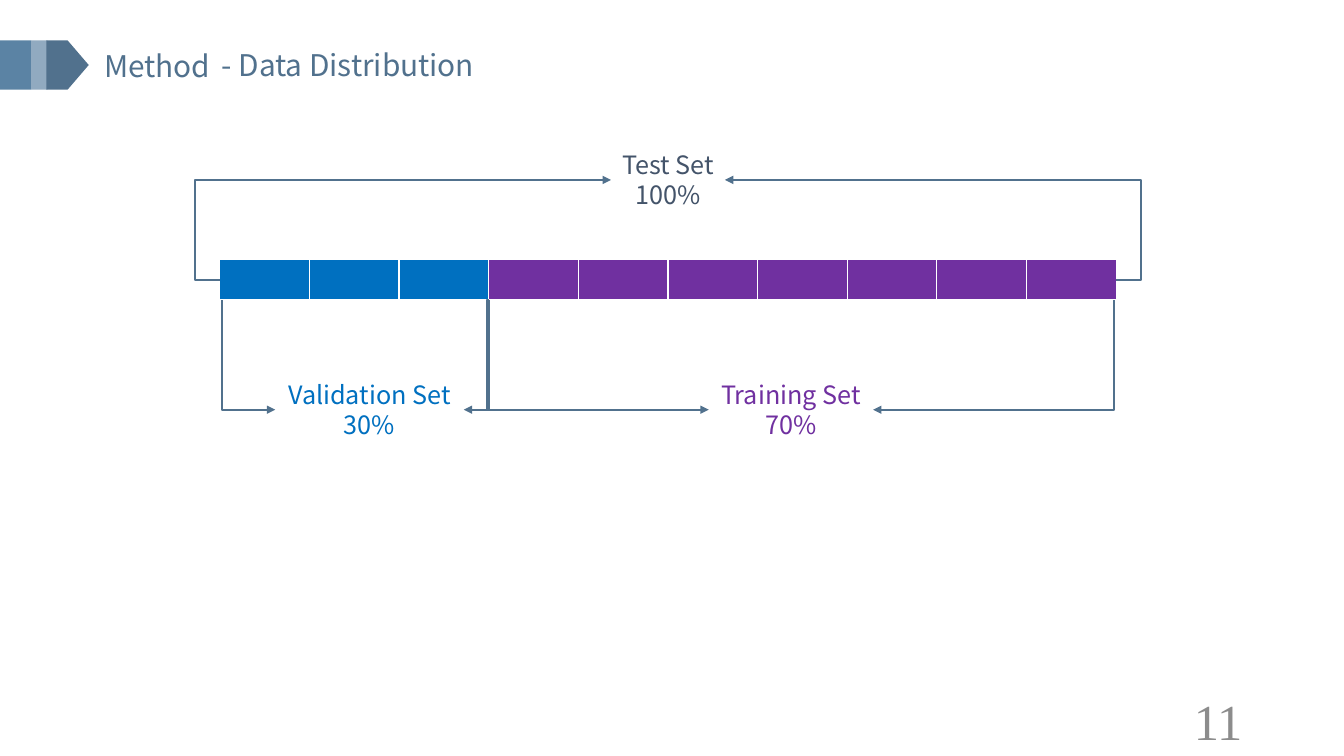
from lxml import etree
from pptx import Presentation
from pptx.dml.color import RGBColor
from pptx.enum.shapes import MSO_CONNECTOR, MSO_SHAPE
from pptx.enum.text import MSO_ANCHOR, PP_ALIGN
from pptx.oxml.ns import qn
from pptx.util import Inches, Pt

ELBOW = MSO_CONNECTOR.ELBOW
RECTANGLE, PENTAGON = MSO_SHAPE.RECTANGLE, MSO_SHAPE.PENTAGON
LEFT, CENTER, RIGHT = PP_ALIGN.LEFT, PP_ALIGN.CENTER, PP_ALIGN.RIGHT
TOP, MIDDLE = MSO_ANCHOR.TOP, MSO_ANCHOR.MIDDLE
SANS, SERIF = "Noto Sans CJK SC", "Times New Roman"
COLORS = {
    "slate": "51718D", "steel": "5B83A4", "mist": "91AAC0", "ink": "44546A",
    "validation": "0070C0", "training": "7030A0", "number": "8C8C8C", "white": "FFFFFF",
}

deck = Presentation()
deck.slide_width, deck.slide_height = Inches(13.33), Inches(7.5)
page = deck.slides.add_slide(deck.slide_layouts[6])


def add_label(lines, area, size, color, align=CENTER, font=SANS, wrap=False, anchor=TOP):
    box = page.shapes.add_textbox(*[Inches(length) for length in area])
    frame = box.text_frame
    frame.word_wrap, frame.vertical_anchor = wrap, anchor
    frame.text = "\n".join(lines)
    for para in frame.paragraphs:
        para.alignment = align
        para.font.size, para.font.name = Pt(size), font
        para.font.color.rgb = RGBColor.from_string(COLORS[color])


def add_arrow(start, end, bend_x):
    """Elbow arrow that runs level to bend_x, then upright, then level to its end."""
    arrow = page.shapes.add_connector(ELBOW, *[Inches(length) for length in start + end])
    arrow.line.color.rgb = RGBColor.from_string(COLORS["slate"])
    arrow.line.width = Pt(1.5)
    properties = arrow._element.spPr
    bend = round(100000 * (bend_x - start[0]) / (end[0] - start[0]))
    guides = properties.find(qn("a:prstGeom")).find(qn("a:avLst"))
    etree.SubElement(guides, qn("a:gd"), name="adj1", fmla=f"val {bend}")
    etree.SubElement(properties.find(qn("a:ln")), qn("a:tailEnd"), type="triangle")
    etree.SubElement(properties, qn("a:effectLst"))


# Heading with its ribbon
for kind, left, width, color in [
    (RECTANGLE, 0, 0.31, "steel"),
    (RECTANGLE, 0.31, 0.16, "mist"),
    (PENTAGON, 0.46, 0.42, "slate"),
]:
    ribbon = page.shapes.add_shape(kind, Inches(left), Inches(0.4), Inches(width), Inches(0.49))
    ribbon.shadow.inherit = False
    ribbon.fill.solid()
    ribbon.fill.fore_color.rgb = RGBColor.from_string(COLORS[color])
    ribbon.line.fill.background()
add_label(["Method"], (0.88, 0.42, 1.36, 0.46), 21.3, "slate", wrap=True)
add_label(["- Data Distribution"], (2.1, 0.41, 2.86, 0.46), 21.3, "slate", LEFT)

# Bar of ten equal parts: three for validation, seven for training
PARTS, VALIDATION_PARTS = 10, 3
BAR_LEFT, BAR_TOP, PART_WIDTH, BAR_HEIGHT = 2.18, 2.57, 0.889, 0.41
BAR_RIGHT = BAR_LEFT + PARTS * PART_WIDTH
BAR_BOTTOM = BAR_TOP + BAR_HEIGHT
BAR_MIDDLE = BAR_TOP + BAR_HEIGHT / 2
bar = page.shapes.add_table(
    1, PARTS, Inches(BAR_LEFT), Inches(BAR_TOP), Inches(PARTS * PART_WIDTH), Inches(BAR_HEIGHT)
).table
bar.first_row = bar.horz_banding = False
for part, cell in enumerate(bar.iter_cells()):
    cell.margin_top = cell.margin_bottom = 0
    properties = cell._tc.get_or_add_tcPr()
    for side, points in [("lnL", 1), ("lnR", 1), ("lnT", 1), ("lnB", 3)]:
        border = etree.SubElement(properties, qn(f"a:{side}"), w=str(Pt(points)))
        paint = etree.SubElement(border, qn("a:solidFill"))
        etree.SubElement(paint, qn("a:srgbClr"), val=COLORS["white"])
    cell.fill.solid()
    color = "validation" if part < VALIDATION_PARTS else "training"
    cell.fill.fore_color.rgb = RGBColor.from_string(COLORS[color])

# Each set: label, left and right arrow ends, then where the two arrows start and bend
SPLIT = BAR_LEFT + VALIDATION_PARTS * PART_WIDTH
OUTSET, INSET, LABEL_HEIGHT = 0.25, 0.02, 0.71
for name, share, color, left, width, top, start_y, starts, bends in [
    ("Test Set", "100%", "ink", 6.06, 1.13, 1.43, BAR_MIDDLE,
     (BAR_LEFT, BAR_RIGHT), (BAR_LEFT - OUTSET, BAR_RIGHT + OUTSET)),
    ("Validation Set", "30%", "validation", 2.73, 1.87, 3.71, BAR_BOTTOM,
     (BAR_LEFT + INSET, SPLIT), (BAR_LEFT + INSET, SPLIT)),
    ("Training Set", "70%", "training", 7.03, 1.63, 3.71, BAR_BOTTOM,
     (SPLIT, BAR_RIGHT - INSET), (SPLIT - INSET, BAR_RIGHT - INSET)),
]:
    add_label([name, share], (left, top, width, LABEL_HEIGHT), 18, color)
    for start_x, end_x, bend_x in zip(starts, (left, left + width), bends):
        add_arrow((start_x, start_y), (end_x, top + LABEL_HEIGHT / 2), bend_x)

# Page number
add_label(["11"], (9.42, 6.95, 3, 0.4), 36, "number", RIGHT, SERIF, True, MIDDLE)

deck.save("out.pptx")
